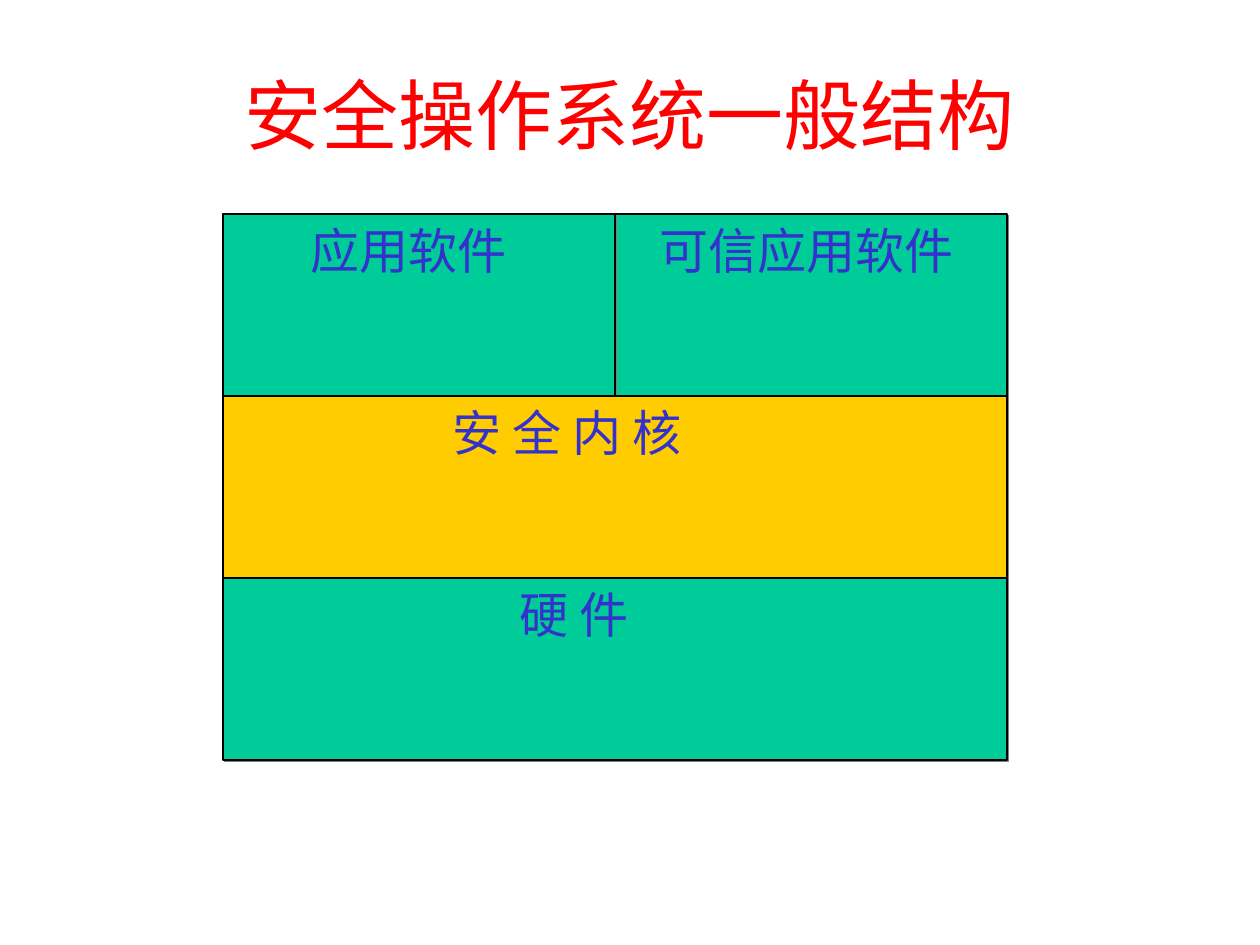
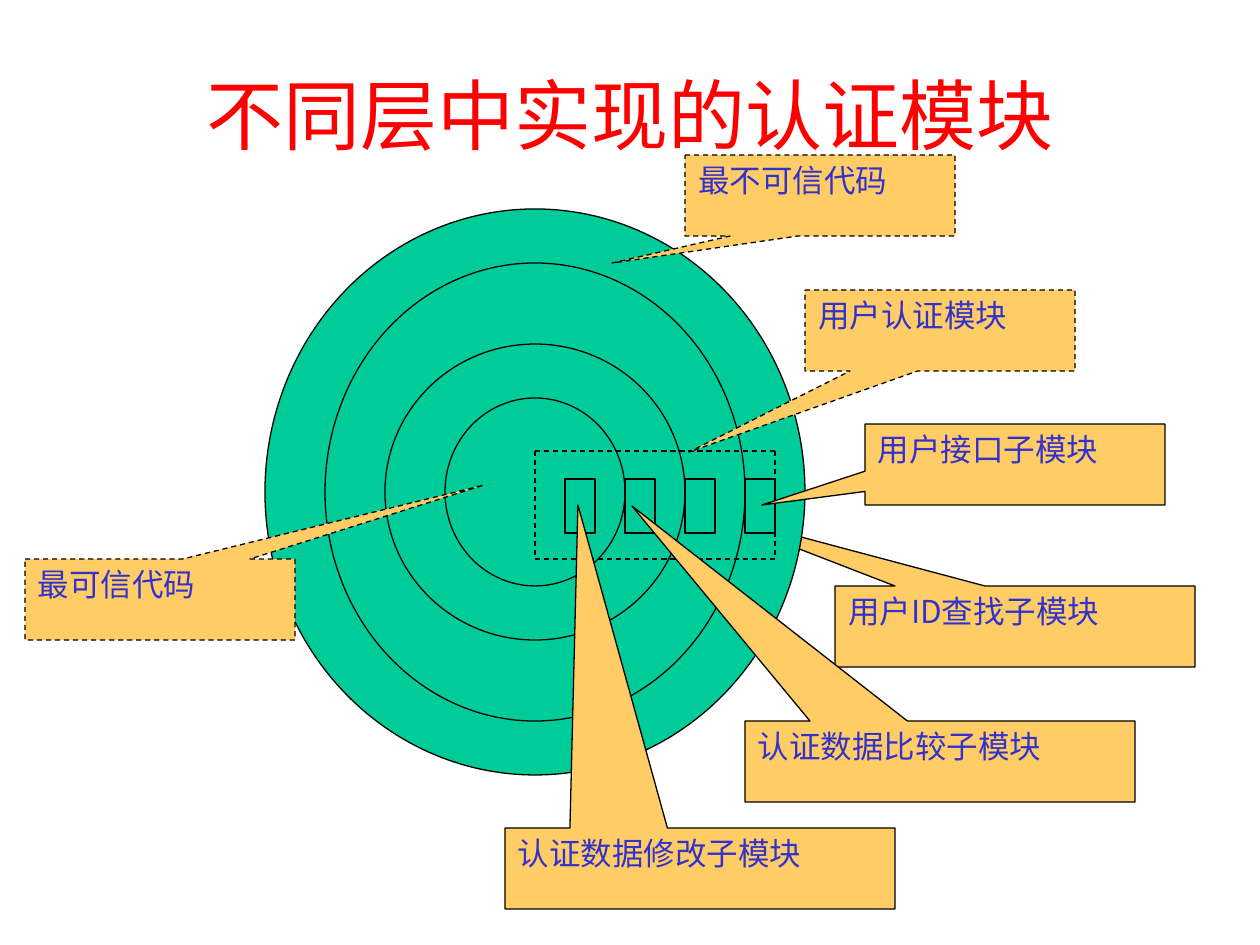
from lxml.etree import SubElement
from pptx import Presentation
from pptx.dml.color import RGBColor
from pptx.enum.dml import MSO_LINE
from pptx.enum.shapes import MSO_CONNECTOR, MSO_SHAPE
from pptx.enum.text import MSO_ANCHOR, PP_ALIGN
from pptx.oxml.ns import qn
from pptx.util import Pt

EMU_PER_PX = 914400 / 126

RED = RGBColor(0xFF, 0x00, 0x00)
GREEN = RGBColor(0x00, 0xCC, 0x99)
GOLD = RGBColor(0xFF, 0xCC, 0x00)
SAND = RGBColor(0xFF, 0xCC, 0x66)
INDIGO = RGBColor(0x33, 0x33, 0xCC)
BLACK = RGBColor(0x00, 0x00, 0x00)

TITLE_FONT = "Times New Roman"
BODY_FONT = "Noto Sans CJK JP"
INSET_X, INSET_Y = 13, 6
CALLOUT_HEIGHT = 81


def px(n):
    return round(n * EMU_PER_PX)


def set_text(tf, text, size, color, font, align=PP_ALIGN.LEFT,
             anchor=MSO_ANCHOR.TOP, left=INSET_X):
    tf.word_wrap = True
    tf.vertical_anchor = anchor
    tf.margin_left, tf.margin_right = px(left), px(INSET_X)
    tf.margin_top = tf.margin_bottom = px(INSET_Y)
    p = tf.paragraphs[0]
    p.text = text
    p.alignment = align
    p.font.size = Pt(size)
    p.font.name = font
    p.font.color.rgb = color
    # East Asian glyphs take their own typeface
    SubElement(p._p.pPr.find(qn("a:defRPr")), qn("a:ea"), typeface=BODY_FONT)


def add_titled_slide(prs, title):
    s = prs.slides.add_slide(prs.slide_layouts[5])
    sp = s.shapes.title
    sp.left, sp.top, sp.width, sp.height = px(95), px(35), px(1070), px(158)
    set_text(sp.text_frame, title, 44, RED, TITLE_FONT,
             PP_ALIGN.CENTER, MSO_ANCHOR.MIDDLE)
    return s


def style_line(line, width=0.75, dashed=False):
    line.color.rgb = BLACK
    line.width = Pt(width)
    if dashed:
        line.dash_style = MSO_LINE.DASH


def add_box(s, kind, x, y, w, h, fill, line_width=0.75, dashed=False):
    sp = s.shapes.add_shape(kind, px(x), px(y), px(w), px(h))
    sp.shadow.inherit = False
    sp.fill.solid()
    sp.fill.fore_color.rgb = fill
    style_line(sp.line, line_width, dashed)
    return sp


def add_hard_shadow(sp):
    effects = sp._element.spPr.find(qn("a:effectLst"))
    shadow = SubElement(effects, qn("a:outerShdw"), dist=str(Pt(1.4)),
                        dir="2700000", algn="ctr", rotWithShape="0")
    SubElement(shadow, qn("a:srgbClr"), val="808080")


def add_layer(s, text, x, y, w, h, fill, indent):
    sp = add_box(s, MSO_SHAPE.RECTANGLE, x, y, w, h, fill)
    add_hard_shadow(sp)
    set_text(sp.text_frame, text, 28, INDIGO, BODY_FONT, left=indent)


def add_dashed_line(s, x1, y1, x2, y2):
    c = s.shapes.add_connector(MSO_CONNECTOR.STRAIGHT,
                               px(x1), px(y1), px(x2), px(y2))
    style_line(c.line, dashed=True)
    SubElement(c._element.spPr, qn("a:effectLst"))


def add_callout(s, text, x, y, w, tip, dashed=False):
    """Add a callout box whose wedge points at tip, an (x, y) on the slide."""
    h = CALLOUT_HEIGHT
    sp = add_box(s, MSO_SHAPE.RECTANGULAR_CALLOUT, x, y, w, h, SAND,
                 dashed=dashed)
    sp.adjustments[0] = (tip[0] - x - w / 2) / w
    sp.adjustments[1] = (tip[1] - y - h / 2) / h
    set_text(sp.text_frame, text, 18, INDIGO, BODY_FONT)


def build_structure(prs):
    s = add_titled_slide(prs, "安全操作系统一般结构")
    left, top, half, height = 223, 214, 392, 182
    add_layer(s, "可信应用软件", left + half, top, half, height, GREEN, 45)
    add_layer(s, "应用软件", left, top, half, height, GREEN, 88)
    wide_layers = [("安 全 内 核", GOLD, 230), ("硬 件", GREEN, 297)]
    for row, (text, fill, indent) in enumerate(wide_layers, 1):
        add_layer(s, text, left, top + row * height, 2 * half, height,
                  fill, indent)


def add_rings(s):
    cx, cy = 535, 492
    for w, h in [(540, 566), (420, 458), (300, 296), (180, 188)]:
        add_box(s, MSO_SHAPE.OVAL, cx - w / 2, cy - h / 2, w, h, GREEN)


def add_module_frame(s):
    left, top, right, bottom = 535, 451, 775, 559
    for y in (top, bottom):
        add_dashed_line(s, left, y, right, y)
    for x in (left, right):
        add_dashed_line(s, x, top, x, bottom)
    for i in range(4):
        add_box(s, MSO_SHAPE.RECTANGLE, left + 30 + 60 * i, 479, 30, 54,
                GREEN, line_width=1.5)


def build_authentication(prs):
    s = add_titled_slide(prs, "不同层中实现的认证模块")
    # The rings cover the tip of this callout
    add_callout(s, "用户ID查找子模块", 835, 586, 360, (696, 509))
    add_rings(s)
    add_module_frame(s)
    for text, x, y, w, tip, dashed in [
        ("最不可信代码", 685, 155, 270, (612, 263), True),
        ("最可信代码", 25, 559, 270, (484, 485), True),
        ("用户认证模块", 805, 290, 270, (689, 452), True),
        ("用户接口子模块", 865, 424, 300, (762, 505), False),
        ("认证数据修改子模块", 505, 828, 390, (578, 505), False),
        ("认证数据比较子模块", 745, 721, 390, (632, 506), False),
    ]:
        add_callout(s, text, x, y, w, tip, dashed)


def main():
    prs = Presentation()
    prs.slide_width, prs.slide_height = px(1260), px(945)
    build_structure(prs)
    build_authentication(prs)
    prs.save("out.pptx")


if __name__ == "__main__":
    main()
